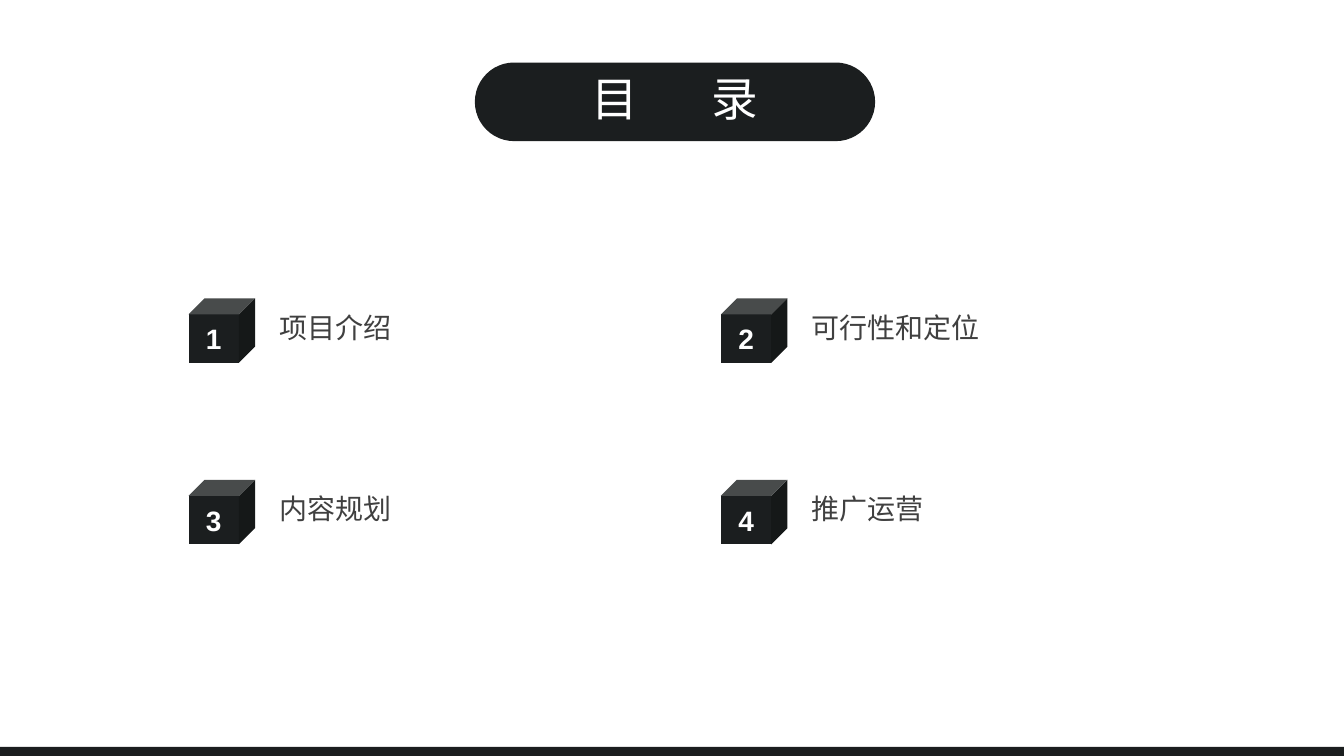
from pptx import Presentation
from pptx.dml.color import RGBColor
from pptx.enum.shapes import MSO_SHAPE
from pptx.enum.text import MSO_ANCHOR, PP_ALIGN
from pptx.util import Inches, Pt

COLORS = {"ink": "1B1E1F", "white": "FFFFFF", "label": "404040"}
TITLE = {"name": "Noto Sans CJK SC", "size": Pt(33.3)}
NUMBER = {"name": "Arial", "size": Pt(20), "bold": True}
LABEL = {"name": "Arial", "size": Pt(20)}


def add_solid(shapes, preset, left, top, width, height):
    solid = shapes.add_shape(preset, Inches(left), Inches(top), Inches(width), Inches(height))
    solid.shadow.inherit = False
    solid.fill.solid()
    solid.fill.fore_color.rgb = RGBColor.from_string(COLORS["ink"])
    solid.line.fill.background()
    return solid


def write(shape, text, style, color, align, line_spacing=None, side=0.1, edge=0):
    frame = shape.text_frame
    frame.word_wrap = True
    frame.vertical_anchor = MSO_ANCHOR.MIDDLE
    frame.margin_left = frame.margin_right = Inches(side)
    frame.margin_top = frame.margin_bottom = Inches(edge)
    paragraph = frame.paragraphs[0]
    paragraph.alignment = align
    paragraph.line_spacing = line_spacing
    run = paragraph.add_run()
    run.text = text
    for key, value in style.items():
        setattr(run.font, key, value)
    run.font.color.rgb = RGBColor.from_string(COLORS[color])
    return run


prs = Presentation()
prs.slide_width, prs.slide_height = Inches(13.33), Inches(7.5)
slide = prs.slides.add_slide(prs.slide_layouts[6])

# Bottom bar
add_solid(slide.shapes, MSO_SHAPE.RECTANGLE, 0, 7.41, 13.33, 0.09)

# Title pill, its two characters set apart by letter spacing
title = add_solid(slide.shapes, MSO_SHAPE.ROUNDED_RECTANGLE, 4.71, 0.62, 3.97, 0.78)
title.adjustments[0] = 0.5
title_start = write(title, "目 ", TITLE, "white", PP_ALIGN.CENTER, 0.9)
title_start._r.get_or_add_rPr().set("spc", "2240")
title_end = write(title, "录", TITLE, "white", PP_ALIGN.CENTER, 0.9)

# Contents in a grid of two columns
contents = ["项目介绍", "可行性和定位", "内容规划", "推广运营"]
for index, topic in enumerate(contents):
    row, column = divmod(index, 2)
    left, top = 1.87 + 5.28 * column, 2.96 + 1.8 * row
    entry = slide.shapes.add_group_shape().shapes
    cube = add_solid(entry, MSO_SHAPE.CUBE, left, top, 0.66, 0.64)
    write(cube, str(index + 1), NUMBER, "white", PP_ALIGN.CENTER, edge=0.05)
    label = entry.add_textbox(Inches(left + 0.9), Inches(top - 0.05), Inches(3.5), Inches(0.71))
    write(label, topic, LABEL, "label", PP_ALIGN.LEFT, 0.9, side=0)

prs.save("out.pptx")
